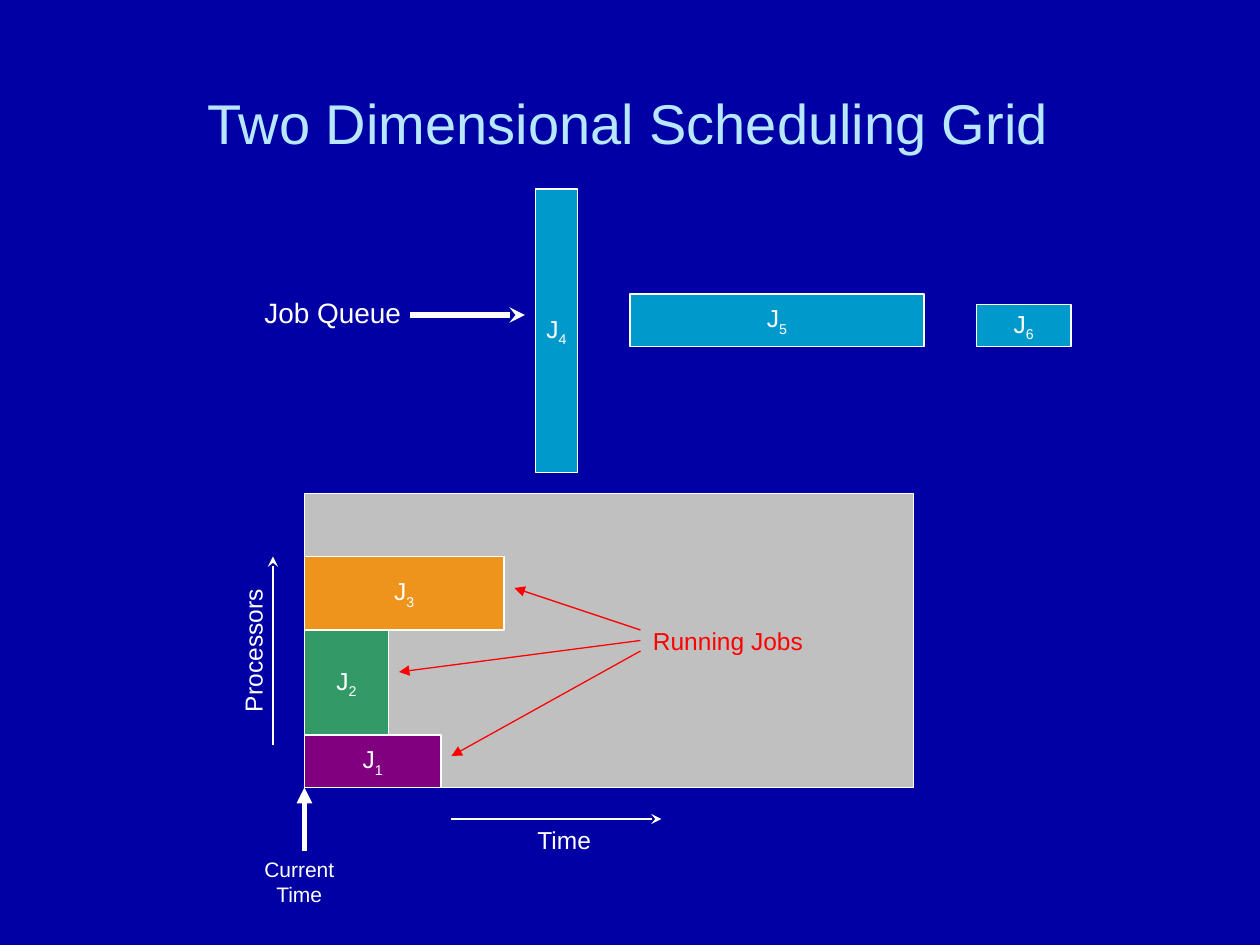
from lxml.etree import SubElement
from pptx import Presentation
from pptx.dml.color import RGBColor
from pptx.enum.shapes import MSO_CONNECTOR as Connector, MSO_SHAPE as Shape
from pptx.enum.text import MSO_ANCHOR as Anchor, PP_ALIGN as Align
from pptx.oxml.ns import qn
from pptx.util import Pt

BACKGROUND = "0000A4"
TITLE = "B7E7FF"
WHITE = "FFFFFF"
RED = "FF0000"
GRID = "C0C0C0"
QUEUED = "0099CC"


def color(hex_string):
    return RGBColor.from_string(hex_string)


class SchedulingSlide:
    font_name = "Arial"
    text_size = 14
    line_width = 0.75

    def __init__(self, presentation):
        self.slide = presentation.slides.add_slide(presentation.slide_layouts[5])
        fill = self.slide.background.fill
        fill.solid()
        fill.fore_color.rgb = color(BACKGROUND)

    def style(self, paragraph, size, text_color, align):
        paragraph.alignment = align
        for run in paragraph.runs:
            run.font.name = self.font_name
            run.font.size = Pt(size)
            run.font.color.rgb = color(text_color)

    def title(self, text, left, top, width, height):
        shape = self.slide.shapes.title
        shape.left, shape.top = Pt(left), Pt(top)
        shape.width, shape.height = Pt(width), Pt(height)
        shape.text_frame.text = text
        shape.text_frame.vertical_anchor = Anchor.MIDDLE
        self.style(shape.text_frame.paragraphs[0], 32, TITLE, Align.CENTER)

    def box(self, left, top, width, height, fill):
        shape = self.slide.shapes.add_shape(
            Shape.RECTANGLE, Pt(left), Pt(top), Pt(width), Pt(height))
        shape.shadow.inherit = False
        shape.fill.solid()
        shape.fill.fore_color.rgb = color(fill)
        shape.line.color.rgb = color(WHITE)
        shape.line.width = Pt(self.line_width)
        return shape

    def job(self, number, left, top, width, height, fill):
        frame = self.box(left, top, width, height, fill).text_frame
        frame.word_wrap = False
        frame.vertical_anchor = Anchor.MIDDLE
        paragraph = frame.paragraphs[0]
        paragraph.add_run().text = "J"
        subscript = paragraph.add_run()
        subscript.text = str(number)
        self.style(paragraph, self.text_size, WHITE, Align.CENTER)
        subscript.font._element.set("baseline", "-25000")

    def label(self, text, left, top, width, height, size=text_size,
              text_color=WHITE, align=Align.LEFT, rotation=0):
        shape = self.slide.shapes.add_textbox(
            Pt(left), Pt(top), Pt(width), Pt(height))
        shape.rotation = rotation
        shape.text_frame.word_wrap = True
        shape.text_frame.text = text
        self.style(shape.text_frame.paragraphs[0], size, text_color, align)

    def arrow(self, start, end, line_color=WHITE, width=line_width, head="stealth"):
        connector = self.slide.shapes.add_connector(
            Connector.STRAIGHT, *(Pt(value) for value in (*start, *end)))
        connector.line.color.rgb = color(line_color)
        connector.line.width = Pt(width)
        SubElement(connector.line._get_or_add_ln(), qn("a:tailEnd"), type=head)
        SubElement(connector._element.spPr, qn("a:effectLst"))


def main():
    presentation = Presentation()
    presentation.slide_width, presentation.slide_height = Pt(720), Pt(540)
    page = SchedulingSlide(presentation)

    page.title("Two Dimensional Scheduling Grid", 24, 18, 670, 104)

    grid_left, grid_top, grid_height = 174, 282, 168
    grid_bottom = grid_top + grid_height
    page.box(grid_left, grid_top, 348, grid_height, GRID)

    running_jobs = [(78, 30, "800080"), (48, 60, "339966"), (114, 42, "EE941C")]
    job_top = grid_bottom
    for number, (width, height, fill) in enumerate(running_jobs, 1):
        job_top -= height
        page.job(number, grid_left, job_top, width, height, fill)

    queued_jobs = [(306, 108, 24, 162), (360, 168, 168, 30), (558, 174, 54, 24)]
    for number, place in enumerate(queued_jobs, 4):
        page.job(number, *place, QUEUED)

    page.label("Job Queue", 144, 165.5, 96, 27, size=16)
    page.arrow((234, 180), (300, 180), width=3)

    page.arrow((258, 468), (378, 468))
    page.label("Time", 300, 468, 54, 24)
    page.arrow((156, 426), (156, 318))
    page.label("Processors", 99.5, 357, 90, 24, rotation=270)

    page.arrow((grid_left, 486), (grid_left, grid_bottom), width=3, head="triangle")
    page.label("Current Time", 132, 486, 78, 36, size=12, align=Align.CENTER)

    for index, target in enumerate([(294, 336), (228, 384), (258, 432)]):
        page.arrow((366, 360 + 6 * index), target, RED, head="triangle")
    page.label("Running Jobs", 366, 354, 108, 24, text_color=RED)

    presentation.save("out.pptx")


if __name__ == "__main__":
    main()
